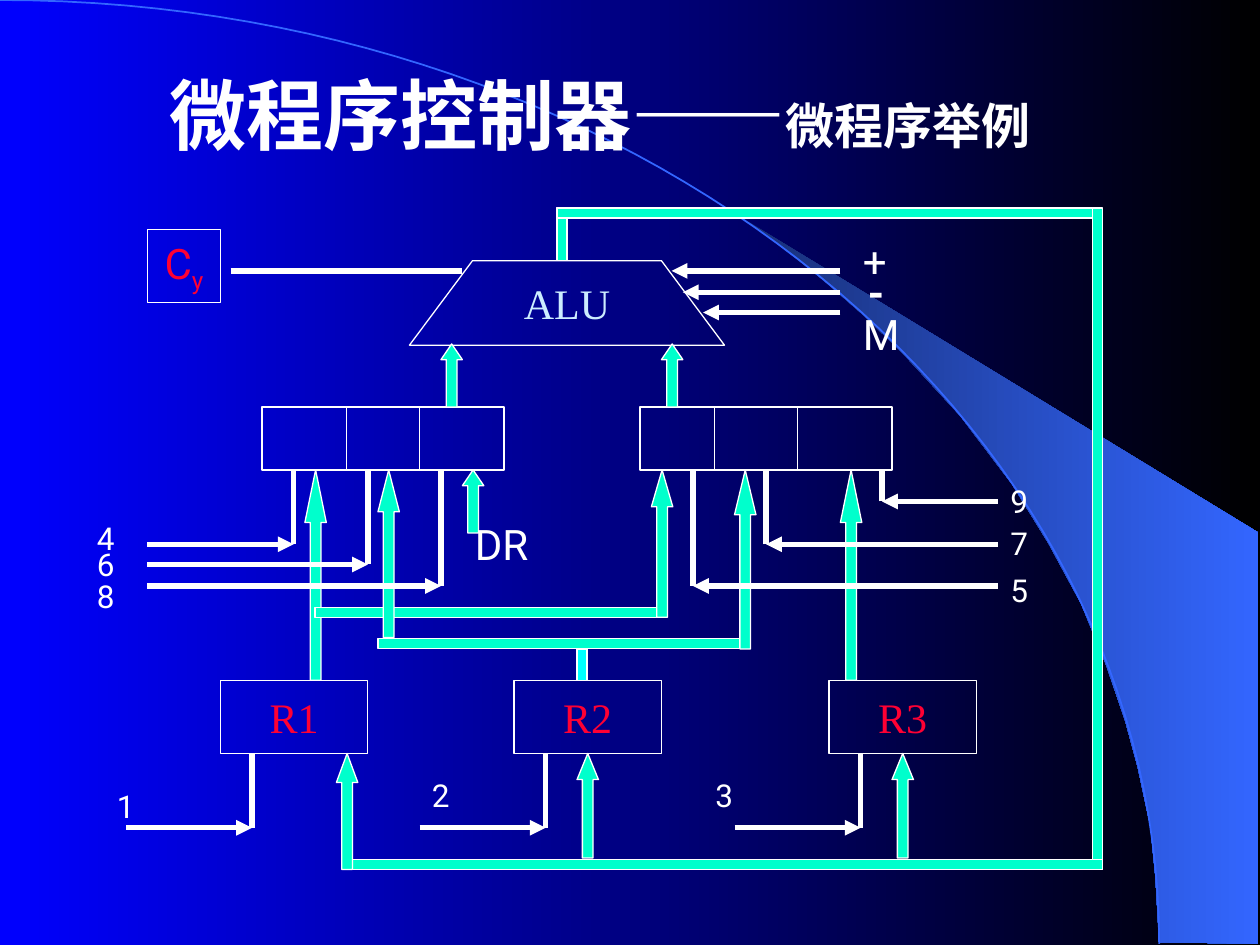
import pptx
import pptx.util
import pptx.dml.color
import pptx.enum.shapes
import pptx.enum.text
import pptx.oxml
import pptx.oxml.ns
from lxml import etree

Inches = pptx.util.Inches
Kind = pptx.enum.shapes.MSO_SHAPE
WHITE, RED, GREEN, CYAN, BLUE = "FFFFFF", "FF0033", "00FFCC", "00FFFF", "3366FF"

TITLE = [("微程序控制器——", 44), ("微程序举例", 28)]
FAN = [(9.2, 7.48), (9.99, 7.49), (9.99, 4.23), (5.89, 1.73), (6.24, 1.99), (6.53, 2.22),
       (6.85, 2.5), (7.16, 2.8), (7.62, 3.3), (8.03, 3.84), (8.32, 4.31), (8.58, 4.79),
       (8.78, 5.28), (8.93, 5.72), (9.03, 6.09), (9.13, 6.56), (9.17, 6.96)]
ARC = [(0, 0), (5.08, 0), (9.2, 3.35), (9.2, 7.49)]
ARC_STEPS = 60

REGISTERS = [("R1", 1.75), ("R2", 4.08), ("R3", 6.58)]
SELECTORS = [(2.08, 1.92, (2.75, 3.33)), (5.08, 2, (5.67, 6.33))]
SELECTOR_TOP, SELECTOR_BOTTOM = 3.23, 3.73

BUSES = [
    ("arrow", 3.5, 2.73, 0.5), ("arrow", 5.25, 2.73, 0.5),
    ("bar", 4.42, 1.65, 0.08, 0.42, GREEN), ("bar", 4.42, 1.65, 4.25, 0.08, GREEN),
    ("bar", 8.67, 1.65, 0.08, 5.25, GREEN), ("bar", 2.75, 6.82, 6, 0.08, GREEN),
    ("arrow", 2.67, 5.98, 0.92), ("arrow", 4.58, 5.98, 0.83), ("arrow", 7.08, 5.98, 0.83),
    ("arrow", 2.42, 3.73, 1.67), ("bar", 2.5, 4.82, 2.75, 0.08, GREEN),
    ("arrow", 5.17, 3.73, 1.17), ("arrow", 3, 3.73, 1.33),
    ("bar", 3, 5.07, 2.92, 0.08, GREEN), ("arrow", 5.83, 3.73, 1.42),
    ("bar", 4.58, 5.15, 0.08, 0.25, CYAN), ("arrow", 3.67, 3.73, 0.5),
    ("arrow", 6.67, 3.73, 1.67),
]
ARROW_WIDTH = 0.17

ALU_SIGNALS = [(5.33, 2.15), (5.42, 2.32), (5.58, 2.48)]
GATE_SIGNALS = [
    (7.92, 7, 3.98, 3.73), (7.92, 6.08, 4.32, 3.73), (7.92, 5.5, 4.65, 3.73),
    (1.17, 2.33, 4.32, 3.73), (1.17, 2.92, 4.48, 3.73), (1.17, 3.5, 4.65, 3.73),
    (1, 2, 6.57, 5.98), (3.33, 4.33, 6.57, 5.98), (5.83, 6.83, 6.57, 5.98),
]

LABELS = [
    ("+", 6.75, 1.82, 24), ("-", 6.79, 2.07, 24), ("M", 6.75, 2.4, 24), ("DR", 3.67, 4.07, 24),
    ("4", 0.67, 4.07, 18), ("6", 0.67, 4.28, 18), ("8", 0.67, 4.53, 18),
    ("9", 7.92, 3.78, 18), ("7", 7.92, 4.11, 18), ("5", 7.92, 4.48, 18),
    ("1", 0.83, 6.2, 18), ("2", 3.33, 6.11, 18), ("3", 5.58, 6.11, 18),
]
LABEL_SIZES = {24: (0.83, 0.5), 18: (0.42, 0.4)}


def color(code):
    return pptx.dml.color.RGBColor.from_string(code)


def style_font(font, size, name, code, bold=False):
    font.size, font.name, font.bold = pptx.util.Pt(size), name, bold
    font.color.rgb = color(code)


def set_gradient(fill, start, end):
    fill.gradient()
    fill.gradient_angle = 0
    for stop, code, position in zip(fill.gradient_stops, (start, end), (0, 1)):
        stop.color.rgb = color(code)
        stop.position = position


def add_outline(page, points, closed):
    builder = page.shapes.build_freeform(
        Inches(points[0][0]), Inches(points[0][1]), scale=1.0)
    builder.add_line_segments([(Inches(x), Inches(y)) for x, y in points[1:]], close=closed)
    outline = builder.convert_to_shape()
    outline.shadow.inherit = False
    return outline


def add_box(page, kind, left, top, width, height, fill=None):
    box = page.shapes.add_shape(kind, Inches(left), Inches(top), Inches(width), Inches(height))
    box.shadow.inherit = False
    if fill:
        box.fill.solid()
        box.fill.fore_color.rgb = color(fill)
    else:
        box.fill.background()
    box.line.color.rgb = color(WHITE)
    box.line.width = pptx.util.Pt(0.75)
    return box


def write_centered(box, text, name, code):
    frame = box.text_frame
    frame.word_wrap = False
    frame.vertical_anchor = pptx.enum.text.MSO_ANCHOR.MIDDLE
    para = frame.paragraphs[0]
    para.alignment = pptx.enum.text.PP_ALIGN.CENTER
    para.add_run().text = text
    style_font(para.font, 24, name, code)
    return para


def add_line(page, start, end, weight, arrow=False):
    line = page.shapes.add_connector(
        pptx.enum.shapes.MSO_CONNECTOR.STRAIGHT, *[Inches(v) for v in start + end])
    line.line.color.rgb = color(WHITE)
    line.line.width = pptx.util.Pt(weight)
    properties = line.element.spPr
    if arrow:
        stroke = properties.find(pptx.oxml.ns.qn("a:ln"))
        etree.SubElement(stroke, pptx.oxml.ns.qn("a:tailEnd"), type="triangle")
    etree.SubElement(properties, pptx.oxml.ns.qn("a:effectLst"))


def add_text_box(page, left, top, width, height):
    box = page.shapes.add_textbox(Inches(left), Inches(top), Inches(width), Inches(height))
    box.text_frame.word_wrap = True
    return box.text_frame


def arc_point(t):
    weights = ((1 - t) ** 3, 3 * t * (1 - t) ** 2, 3 * t ** 2 * (1 - t), t ** 3)
    return tuple(sum(w * p[axis] for w, p in zip(weights, ARC)) for axis in (0, 1))


def draw_backdrop(page):
    set_gradient(page.background.fill, "0000FF", "000000")
    fan = add_outline(page, FAN, True)
    set_gradient(fan.fill, "182F76", BLUE)
    fan.line.fill.background()
    arc = add_outline(page, [arc_point(i / ARC_STEPS) for i in range(ARC_STEPS + 1)], False)
    arc.fill.background()
    arc.line.color.rgb = color(BLUE)
    arc.line.width = pptx.util.Pt(1)


def draw_title(page):
    frame = add_text_box(page, 0.51, 0.44, 8.5, 0.92)
    frame.vertical_anchor = pptx.enum.text.MSO_ANCHOR.MIDDLE
    para = frame.paragraphs[0]
    para.alignment = pptx.enum.text.PP_ALIGN.CENTER
    for text, size in TITLE:
        span = para.add_run()
        span.text = text
        style_font(span.font, size, "Arial", WHITE, True)


def draw_units(page):
    alu = add_box(page, Kind.FLOWCHART_MANUAL_OPERATION, 3.25, 2.07, 2.5, 0.67)
    write_centered(alu, "ALU", "Times New Roman", "CCECFF")
    alu.element.spPr.find(pptx.oxml.ns.qn("a:xfrm")).set("flipV", "1")
    alu.element.txBody.find(pptx.oxml.ns.qn("a:bodyPr")).set("rot", "10800000")
    for left, width, dividers in SELECTORS:
        add_box(page, Kind.RECTANGLE, left, SELECTOR_TOP, width, SELECTOR_BOTTOM - SELECTOR_TOP)
        for x in dividers:
            add_line(page, (x, SELECTOR_TOP), (x, SELECTOR_BOTTOM), 0.75)
    for name, left in REGISTERS:
        register = add_box(page, Kind.RECTANGLE, left, 5.4, 1.17, 0.58)
        write_centered(register, name, "Times New Roman", RED)
    carry = add_box(page, Kind.FLOWCHART_PROCESS, 1.17, 1.82, 0.58, 0.58)
    subscript = write_centered(carry, "C", "Roboto", RED).add_run()
    subscript.text = "y"
    subscript.font._element.set("baseline", "-25000")


def draw_buses(page):
    for kind, left, top, *size in BUSES:
        if kind == "bar":
            add_box(page, Kind.RECTANGLE, left, top, *size)
        else:
            arrow = add_box(page, Kind.UP_ARROW, left, top, ARROW_WIDTH, size[0], GREEN)
            arrow.adjustments[1] = size[0] / 4 / ARROW_WIDTH


def draw_signals(page):
    add_line(page, (1.83, 2.15), (3.67, 2.15), 3)
    for x, y in ALU_SIGNALS:
        add_line(page, (6.67, y), (x, y), 3, True)
    for start, corner, y, top in GATE_SIGNALS:
        add_line(page, (start, y), (corner, y), 3, True)
        add_line(page, (corner, y), (corner, top), 3)
    for text, left, top, size in LABELS:
        frame = add_text_box(page, left, top, *LABEL_SIZES[size])
        para = frame.paragraphs[0]
        para.text = text
        style_font(para.font, size, "Roboto", WHITE, text == "-")


def main():
    deck = pptx.Presentation()
    deck.slide_width, deck.slide_height = Inches(10), Inches(7.5)
    page = deck.slides.add_slide(deck.slide_layouts[6])
    for draw in (draw_backdrop, draw_title, draw_units, draw_buses, draw_signals):
        draw(page)
    deck.save("out.pptx")


if __name__ == "__main__":
    main()
